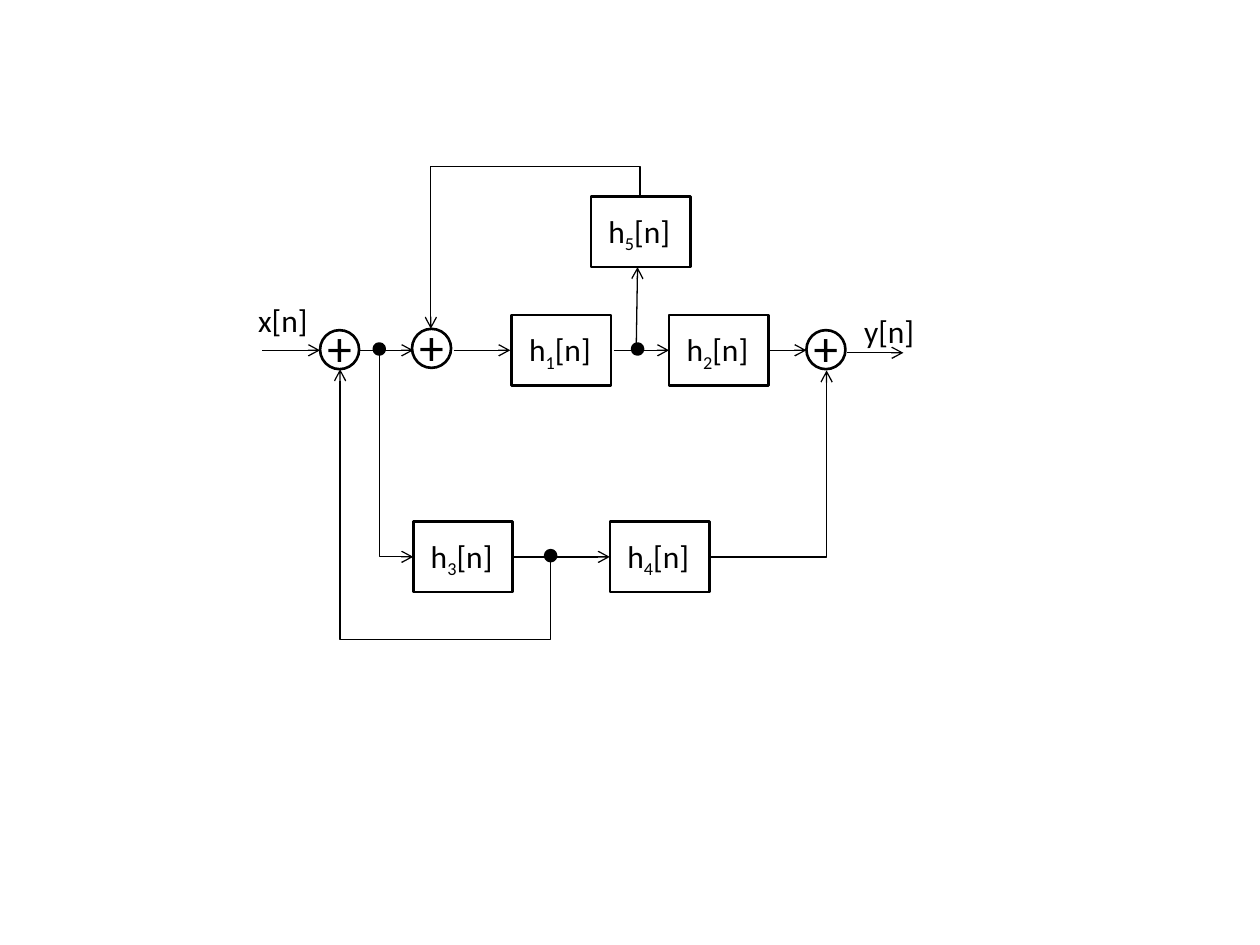
"""Draw a block diagram of five linked filters with three adders."""
from lxml.etree import SubElement
from pptx import Presentation
from pptx.dml.color import RGBColor
from pptx.enum.shapes import MSO_CONNECTOR, MSO_SHAPE
from pptx.enum.text import MSO_AUTO_SIZE
from pptx.oxml.ns import qn
from pptx.util import Inches, Pt

HUES = {"ink": "000000"}
INK = RGBColor.from_string(HUES["ink"])
BOX_W, BOX_H, RING, DOT = 0.79, 0.56, 0.31, 0.08
TOP, MID, LOW = 1.56, 2.5, 4.14
AXIS = MID + BOX_H / 2
BASE = LOW + BOX_H / 2

deck = Presentation()
deck.slide_width, deck.slide_height = Inches(10), Inches(7.5)
slide = deck.slides.add_slide(deck.slide_layouts[6])
shapes = slide.shapes


def draw(kind, x, y, w, h, line, solid=False):
    shape = shapes.add_shape(kind, *map(Inches, (x, y, w, h)))
    shape.shadow.inherit = False
    shape.line.color.rgb = INK
    shape.line.width = Pt(line)
    if solid:
        shape.fill.solid()
        shape.fill.fore_color.rgb = INK
    else:
        shape.fill.background()


def label(x, y, w, h, size, *parts):
    frame = shapes.add_textbox(*map(Inches, (x, y, w, h))).text_frame
    frame.word_wrap = False
    frame.auto_size = MSO_AUTO_SIZE.SHAPE_TO_FIT_TEXT
    for part in parts:
        run = frame.paragraphs[0].add_run()
        run.text = part
        run.font.name = "Calibri"
        run.font.size = Pt(size)
        run.font.color.rgb = INK
        if part.isdigit():
            run._r.get_or_add_rPr().set("baseline", "-25000")


for num, x, y in [("1", 4.06, MID), ("2", 5.31, MID), ("3", 3.28, LOW),
                  ("4", 4.84, LOW), ("5", 4.69, TOP)]:
    draw(MSO_SHAPE.RECTANGLE, x, y, BOX_W, BOX_H, 1.5)
    label(x + 0.04, y + 0.07, 0.71, 0.4, 18, "h", num, "[n]")

for x, y in [(2.54, 2.62), (3.27, 2.61), (6.4, 2.62)]:
    label(x - 0.04, y - 0.15, 0.41, 0.57, 28, "+")
    draw(MSO_SHAPE.OVAL, x, y, RING, RING, 1.5)

for x, y in [(2.97, 2.73), (5.02, 2.73), (4.33, 4.37)]:
    draw(MSO_SHAPE.OVAL, x, y, DOT, DOT, 2, True)

label(1.95, 2.34, 0.6, 0.4, 18, "x[n]")
label(6.76, 2.43, 0.6, 0.4, 18, "y[n]")

links = []
for x1, y1, x2, y2 in [
        (2.08, AXIS, 2.54, AXIS), (2.85, AXIS, 3.28, AXIS),
        (3.6, AXIS, 4.05, AXIS), (4.87, AXIS, 5.31, AXIS),
        (6.11, AXIS, 6.4, AXIS), (6.72, 2.8, 7.17, 2.8),
        (4.08, BASE, 4.84, BASE), (5.05, 2.73, 5.06, 2.12)]:
    links.append(shapes.add_connector(
        MSO_CONNECTOR.STRAIGHT, *map(Inches, (x1, y1, x2, y2))))

for x, y, w, h, turn, flips, bend in [
        (5.64, 2.94, 0.92, 1.48, 0, "V", None),
        (2.34, 3.48, 1.61, 0.27, 270, "H", None),
        (2.78, 2.85, 1.51, 1.67, 90, "H", -42100),
        (3.73, 1.26, 1.04, 1.66, 270, "HV", -23900)]:
    link = shapes.add_connector(
        MSO_CONNECTOR.ELBOW, *map(Inches, (x, y, x + w, y + h)))
    props = link._element.spPr
    frame = props.find(qn("a:xfrm"))
    frame.set("rot", str(turn * 60000))
    for flip in flips:
        frame.set("flip" + flip, "1")
    geom = props.find(qn("a:prstGeom"))
    if bend is None:
        geom.set("prst", "bentConnector2")
    else:
        SubElement(geom.find(qn("a:avLst")), qn("a:gd"),
                   name="adj1", fmla=f"val {bend}")
    links.append(link)

for link in links:
    link.line.color.rgb = INK
    link.line.width = Pt(0.75)
    SubElement(link.line._get_or_add_ln(), qn("a:tailEnd"), type="arrow")
    SubElement(link._element.spPr, qn("a:effectLst"))

deck.save("out.pptx")
